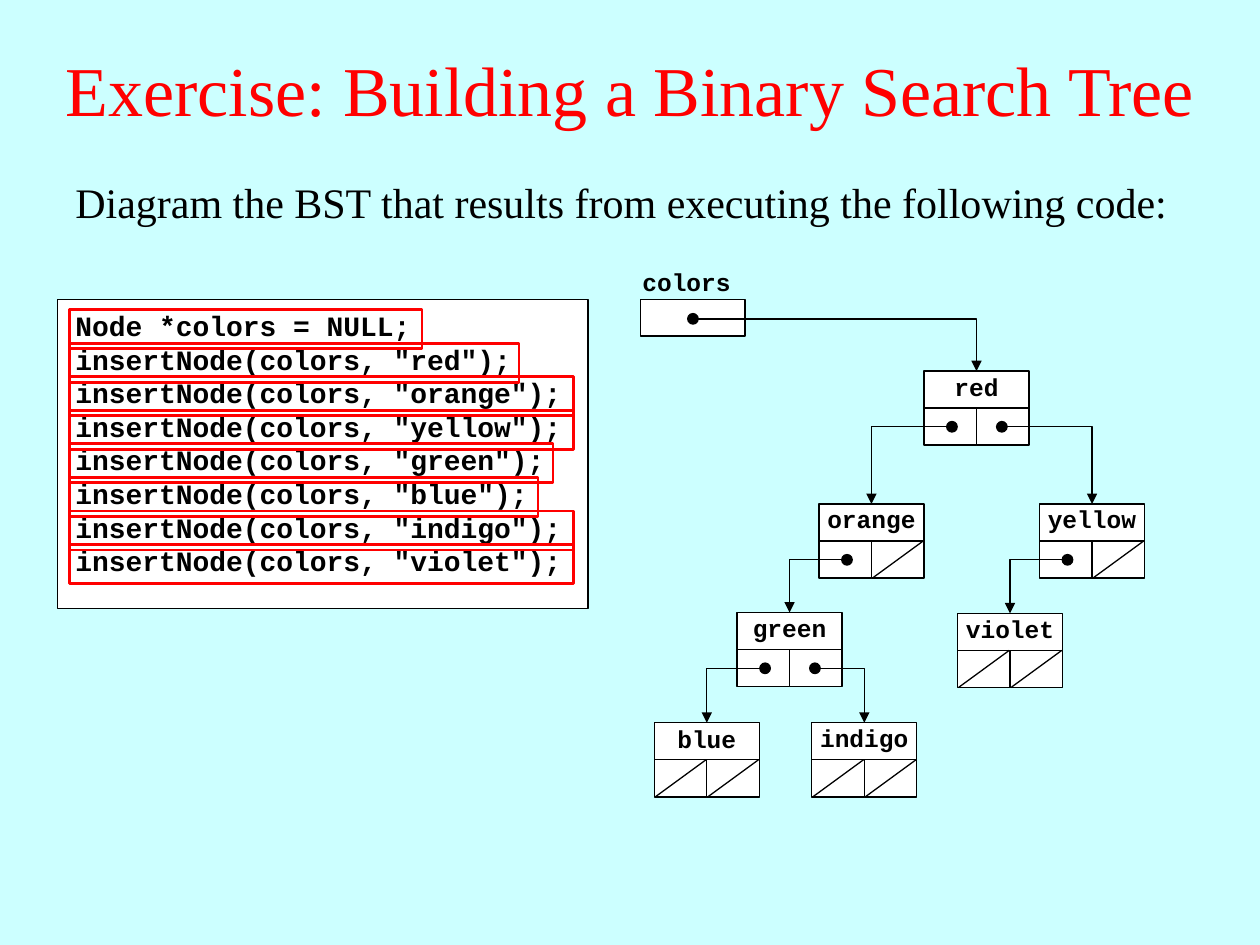
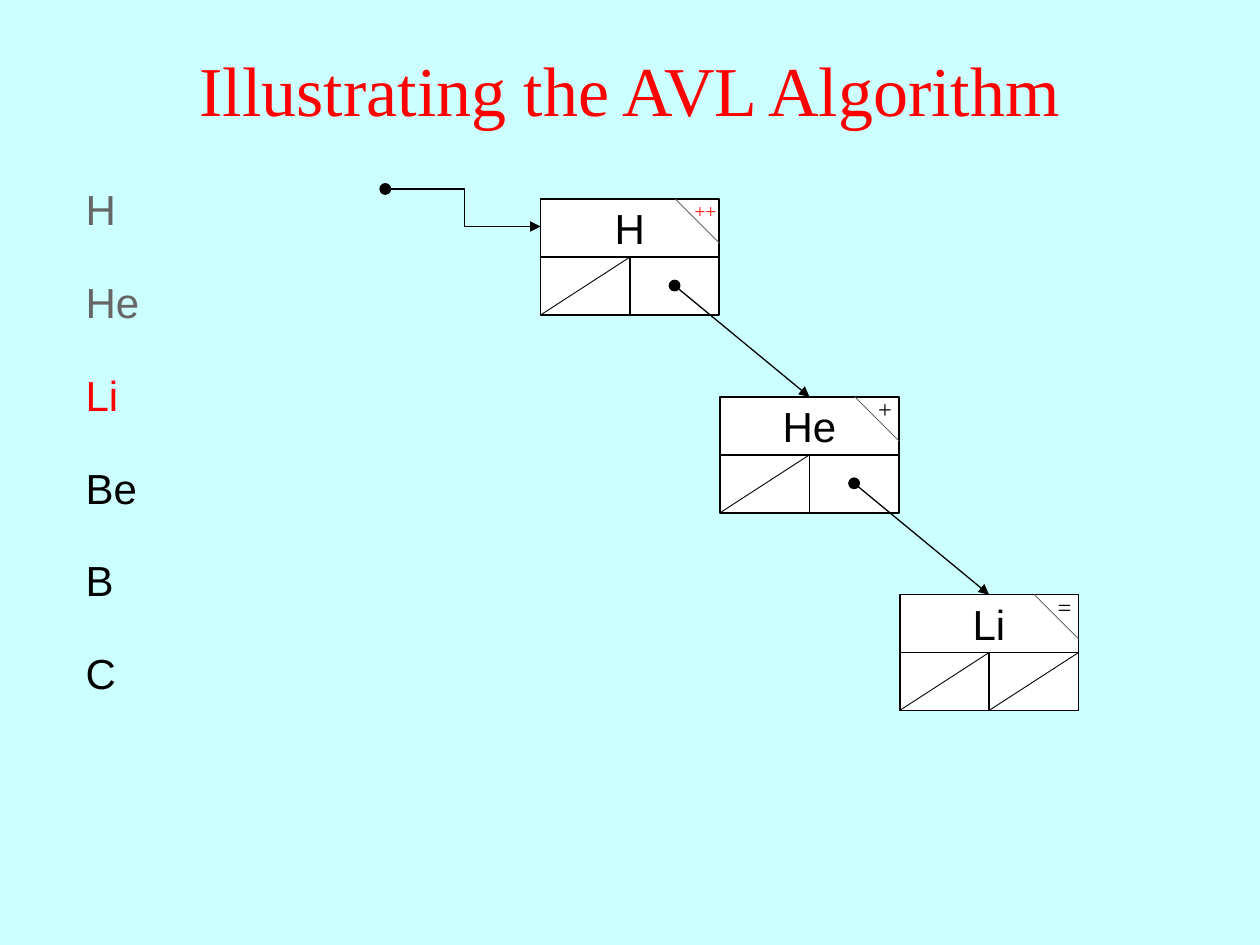
from lxml import etree
from pptx import Presentation
from pptx.dml.color import RGBColor
from pptx.enum import shapes, text
from pptx.oxml import ns
from pptx.util import Pt

# Theme: colours and type styles
theme = dict(
    back="CCFFFF", red="FF0000", ink="000000", white="FFFFFF", gray="666666",
    title=dict(name="Times New Roman", size=Pt(40)),
    lead=dict(name="Times New Roman", size=Pt(24)),
    code=dict(name="Courier New", size=Pt(16), bold=True),
    label=dict(name="Courier New", size=Pt(14), bold=True),
    symbol=dict(name="Arial", size=Pt(24)),
    sign=dict(name="Times New Roman", size=Pt(14)),
    small=dict(name="Times New Roman", size=Pt(11)),
)
left, mid = text.PP_ALIGN.LEFT, text.PP_ALIGN.CENTER
top, middle = text.MSO_ANCHOR.TOP, text.MSO_ANCHOR.MIDDLE
rect, oval = shapes.MSO_SHAPE.RECTANGLE, shapes.MSO_SHAPE.OVAL
straight, elbow = shapes.MSO_CONNECTOR.STRAIGHT, shapes.MSO_CONNECTOR.ELBOW


def put(slide, kind, box, words="", style="label", color="ink", align=left,
        anchor=top, wrap=True, gap=None, fill=None, edge="ink", width=0.75):
    """Place the title, a text box ("text") or a preset shape."""
    x, y, w, h = map(Pt, box)
    if kind == "title":
        item = slide.shapes.title
        item.left, item.top, item.width, item.height = x, y, w, h
    elif kind == "text":
        item = slide.shapes.add_textbox(x, y, w, h)
    else:
        item = slide.shapes.add_shape(kind, x, y, w, h)
        item.shadow.inherit = False
        item.line.color.rgb = RGBColor.from_string(theme[edge])
        item.line.width = Pt(width)
        if fill:
            item.fill.solid()
            item.fill.fore_color.rgb = RGBColor.from_string(theme[fill])
        else:
            item.fill.background()
    if words:
        frame = item.text_frame
        look = dict(text=words, word_wrap=wrap, vertical_anchor=anchor,
                    auto_size=text.MSO_AUTO_SIZE.NONE)
        for key, val in look.items():
            setattr(frame, key, val)
        for para in frame.paragraphs:
            para.alignment = align
            para.line_spacing = gap
            for key, val in theme[style].items():
                setattr(para.font, key, val)
            para.font.color.rgb = RGBColor.from_string(theme[color])
    return item


def join(slide, start, end, kind=straight, width=0.75, color="ink", arrow=False):
    """Draw a connector between two points."""
    link = slide.shapes.add_connector(kind, *map(Pt, (*start, *end)))
    link.line.color.rgb = RGBColor.from_string(theme[color])
    link.line.width = Pt(width)
    props = link._element.spPr
    if arrow:
        etree.SubElement(props.find(ns.qn("a:ln")), ns.qn("a:tailEnd"), type="triangle")
    etree.SubElement(props, ns.qn("a:effectLst"))
    return link


# Presentation and shared background
deck = Presentation()
deck.slide_width, deck.slide_height = Pt(720), Pt(540)
back = deck.slide_master.background.fill
back.solid()
back.fore_color.rgb = RGBColor.from_string(theme["back"])

# Slides with their titles
pages = []
for name in ("Exercise: Building a Binary Search Tree", "Illustrating the AVL Algorithm"):
    page = deck.slides.add_slide(deck.slide_layouts[5])
    put(page, "title", (0, 5.8, 720, 90), name, "title", "red", mid, middle)
    pages.append(page)
tree, avl = pages

# Slide 1: lead sentence and code listing
put(tree, "text", (36, 97.2, 648, 36),
    "Diagram the BST that results from executing the following code:", "lead")
code = [
    ("Node *colors = NULL;", 201.6),
    ('insertNode(colors, "red");', 257),
    ('insertNode(colors, "orange");', 288),
    ('insertNode(colors, "yellow");', 288),
    ('insertNode(colors, "green");', 276.5),
    ('insertNode(colors, "blue");', 267.8),
    ('insertNode(colors, "indigo");', 288),
    ('insertNode(colors, "violet");', 288),
]
put(tree, rect, (33, 171.2, 303, 176.4), fill="white")
put(tree, "text", (36, 172.8, 294, 161), "\n".join(row for row, _ in code), "code")
for i, (_, wide) in enumerate(code):
    put(tree, rect, (39.6, 177 + 19.15 * i, wide, 22.3), edge="red", width=1.5)

# Root pointer
put(tree, "text", (360, 149, 66, 24), "colors")
put(tree, rect, (366, 171, 59.8, 21), fill="white")

# Tree nodes: left, top, line spacing, left child, right child
cell, head = 30, 21.2
nodes = {
    "red": (528, 212, 0.8, "orange", "yellow"),
    "orange": (468, 288, 0.7, "green", None),
    "yellow": (594, 288, 0.7, "violet", None),
    "green": (421.2, 350, 0.7, "blue", "indigo"),
    "violet": (547.2, 350.5, 0.8, None, None),
    "blue": (373.9, 413, 0.8, None, None),
    "indigo": (463.9, 413, 0.7, None, None),
}
links = [(396, 182.2, "red")]
for name, (x, y, gap, *kids) in nodes.items():
    put(tree, rect, (x, y, 2 * cell, head), name, align=mid, anchor=middle,
        wrap=False, gap=gap, fill="white")
    for i, kid in enumerate(kids):
        cx, cy = x + cell * i, y + head
        put(tree, rect, (cx, cy, cell, head), fill="white")
        if kid:
            links.append((x + (16, 44.5)[i], cy + 10.7, kid))
        else:
            join(tree, (cx + 0.5, cy + head), (cx + cell - 0.5, cy))

# Pointers: a dot and a right-angled arrow to the child
for x, y, kid in links:
    put(tree, oval, (x - 3, y - 3, 6, 6), fill="ink")
    goal = nodes[kid]
    link = join(tree, (x, y), (goal[0] + cell, goal[1]), elbow, arrow=True)
    link._element.spPr.find(ns.qn("a:prstGeom")).set("prst", "bentConnector2")

# Slide 2: elements still to insert, current one in red
steps = [("H", "gray"), ("He", "gray"), ("Li", "red"), ("Be", "ink"), ("B", "ink"), ("C", "ink")]
for i, (name, color) in enumerate(steps):
    put(avl, "text", (41.8, 101.5 + 53 * i, 48, 36), name, "symbol", color)

# Nodes down the diagonal with their balance signs
wide, high = 102.2, 66.2
marks = [("H", "++", "small", "red", -3.6), ("He", "+", "sign", "ink", -5),
         ("Li", "=", "sign", "ink", -5)]
dot = None
for i, (name, sign, style, color, lift) in enumerate(marks):
    x, y = 308.9 + 102.6 * i, 113.8 + 113 * i
    half, waist, base = x + wide / 2, y + high / 2, y + high
    node = put(avl, rect, (x, y, wide, high), fill="white", width=1)
    bar = join(avl, (x, waist), (x + wide, waist), width=1)
    bar.begin_connect(node, 1)
    bar.end_connect(node, 3)
    join(avl, (half, waist), (half, base), width=1).end_connect(node, 2)
    put(avl, "text", (x + 21, y - 1.4, 60, 36), name, "symbol", align=mid)
    join(avl, (x + wide - 25.2, y), (x + wide, y + 25.2), width=0.5, color="gray")
    put(avl, "text", (x + 78.2, y + lift, 32, 24), sign, style, color, mid)
    join(avl, (x, base), (half, waist), width=0.5)
    if dot:
        join(avl, dot, (half, y), arrow=True).end_connect(node, 0)
    if i < len(marks) - 1:
        dot = x + 76.6, y + 49.4
        put(avl, oval, (dot[0] - 3, dot[1] - 3, 6, 6), fill="ink")
    else:
        join(avl, (half, base), (x + wide, waist), width=0.5)

# Pointer to the root
put(avl, oval, (217.2, 105, 6, 6), fill="ink")
join(avl, (221.8, 108), (308.9, 129.4), elbow, arrow=True)

deck.save("out.pptx")
